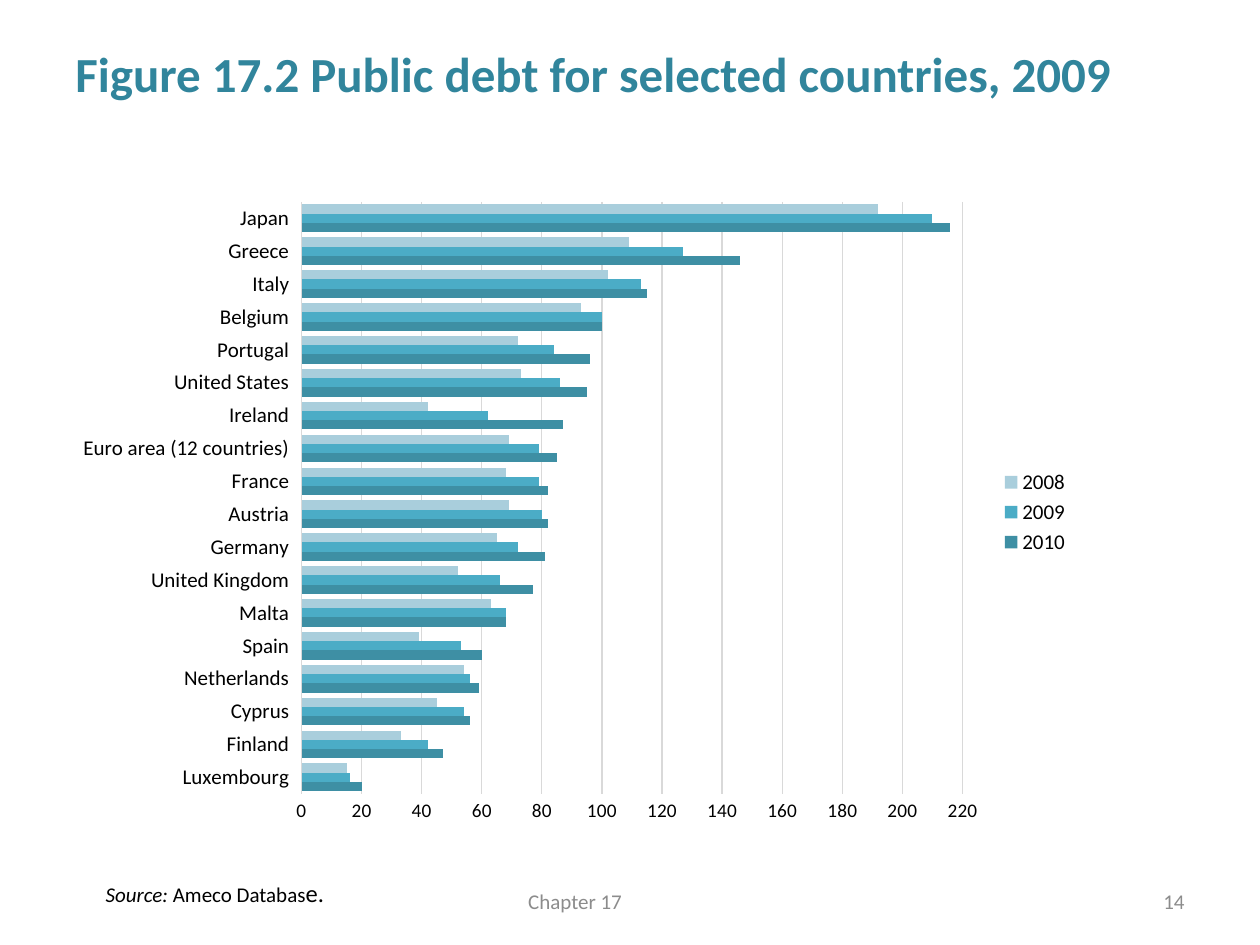
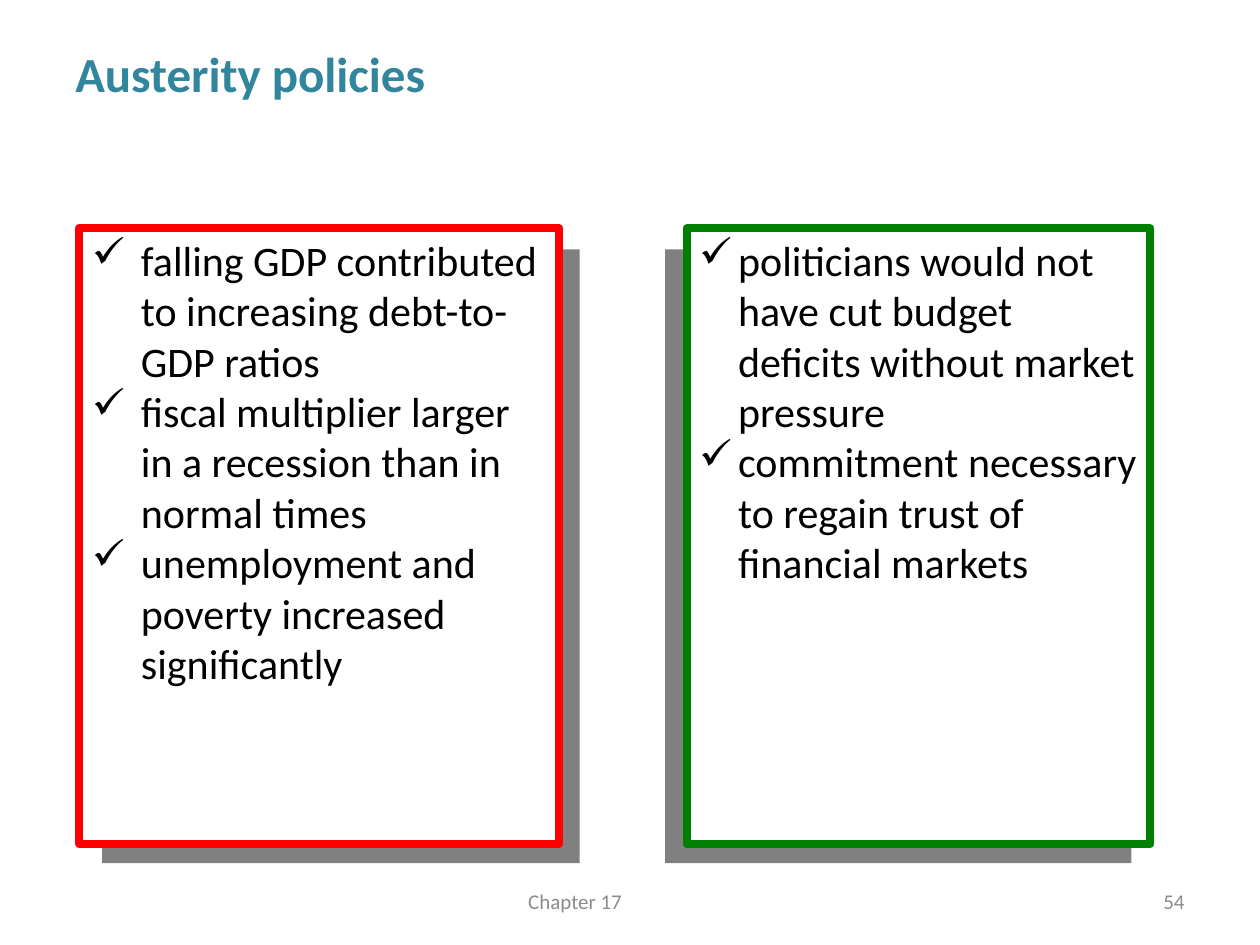
from lxml import etree
from pptx import Presentation
from pptx.chart.data import CategoryChartData
from pptx.dml.color import RGBColor
from pptx.enum.chart import XL_CHART_TYPE, XL_LEGEND_POSITION, XL_TICK_LABEL_POSITION, XL_TICK_MARK
from pptx.enum.shapes import MSO_SHAPE
from pptx.enum.text import MSO_ANCHOR, PP_ALIGN
from pptx.oxml.ns import qn
from pptx.util import Pt

PX = 9144
FONT = "Calibri"
TEAL = RGBColor(0x31, 0x85, 0x9C)
BLACK = RGBColor(0, 0, 0)
WHITE = RGBColor(0xFF, 0xFF, 0xFF)
FOOTER_GRAY = RGBColor(0x8C, 0x8C, 0x8C)
BACKING_GRAY = RGBColor(0x80, 0x80, 0x80)
GRID_GRAY = RGBColor(0xD9, 0xD9, 0xD9)
RED = RGBColor(0xFF, 0, 0)
GREEN = RGBColor(0, 0x80, 0)
YEAR_COLORS = [
    RGBColor(0x3E, 0x8F, 0xA4),
    RGBColor(0x4B, 0xAC, 0xC6),
    RGBColor(0xA9, 0xCE, 0xDC),
]
LEFT, CENTER, RIGHT = PP_ALIGN.LEFT, PP_ALIGN.CENTER, PP_ALIGN.RIGHT
TOP, MIDDLE = MSO_ANCHOR.TOP, MSO_ANCHOR.MIDDLE
RECTANGLE = MSO_SHAPE.RECTANGLE
BARS = XL_CHART_TYPE.BAR_CLUSTERED
LEGEND_RIGHT = XL_LEGEND_POSITION.RIGHT
LABELS_LOW = XL_TICK_LABEL_POSITION.LOW
NO_TICKS = XL_TICK_MARK.NONE

YEARS = ["2010", "2009", "2008"]
PUBLIC_DEBT = [
    ("Luxembourg", 20, 16, 15),
    ("Finland", 47, 42, 33),
    ("Cyprus", 56, 54, 45),
    ("Netherlands", 59, 56, 54),
    ("Spain", 60, 53, 39),
    ("Malta", 68, 68, 63),
    ("United Kingdom", 77, 66, 52),
    ("Germany", 81, 72, 65),
    ("Austria", 82, 80, 69),
    ("France", 82, 79, 68),
    ("Euro area (12 countries)", 85, 79, 69),
    ("Ireland", 87, 62, 42),
    ("United States", 95, 86, 73),
    ("Portugal", 96, 84, 72),
    ("Belgium", 100, 100, 93),
    ("Italy", 115, 113, 102),
    ("Greece", 146, 127, 109),
    ("Japan", 216, 210, 192),
]
COSTS = [
    "falling GDP contributed to increasing debt-to-GDP ratios",
    "fiscal multiplier larger in a recession than in normal times",
    "unemployment and poverty increased significantly",
]
BENEFITS = [
    "politicians would not have cut budget deficits without market pressure",
    "commitment necessary to regain trust of financial markets",
]


class Deck:
    def __init__(self):
        self.presentation = Presentation()
        self.presentation.slide_width = 1000 * PX
        self.presentation.slide_height = 750 * PX
        self.slide = None

    def new_slide(self, title, number):
        self.slide = self.presentation.slides.add_slide(self.presentation.slide_layouts[6])
        self.text((50, 30, 900, 93), [(title, 28, False)], TEAL, bold=True)
        self.text((215, 695, 483, 40), [("Chapter 17", 12, False)], FOOTER_GRAY, CENTER, MIDDLE)
        self.text((717, 695, 233, 40), [(number, 12, False)], FOOTER_GRAY, RIGHT, MIDDLE)

    def box(self, place):
        return [length * PX for length in place]

    def style(self, font, size, color, bold=False, italic=False):
        font.name = FONT
        font.size = Pt(size)
        font.color.rgb = color
        font.bold = bold
        font.italic = italic

    def text(self, place, pieces, color, align=LEFT, anchor=TOP, bold=False, wrap=True):
        frame = self.slide.shapes.add_textbox(*self.box(place)).text_frame
        frame.word_wrap = wrap
        frame.vertical_anchor = anchor
        paragraph = frame.paragraphs[0]
        paragraph.alignment = align
        for words, size, italic in pieces:
            run = paragraph.add_run()
            run.text = words
            self.style(run.font, size, color, bold, italic)

    def rectangle(self, place, fill, border=None):
        shape = self.slide.shapes.add_shape(RECTANGLE, *self.box(place))
        shape.shadow.inherit = False
        shape.fill.solid()
        shape.fill.fore_color.rgb = fill
        if border is None:
            shape.line.fill.background()
        else:
            shape.line.color.rgb = border
            shape.line.width = Pt(4.5)
        return shape

    def checklist(self, place, border, points, indent):
        frame = self.rectangle(place, WHITE, border).text_frame
        frame.word_wrap = True
        frame.vertical_anchor = TOP
        frame.text = "\n".join(points)
        for paragraph in frame.paragraphs:
            paragraph.alignment = LEFT
            self.style(paragraph.runs[0].font, 24, BLACK)
            properties = paragraph._p.get_or_add_pPr()
            properties.set("marL", str(indent * PX))
            properties.set("indent", str(-indent * PX))
            etree.SubElement(properties, qn("a:buChar")).set("char", "✓")

    def bar_chart(self, place, names, rows, colors):
        data = CategoryChartData()
        data.categories = [row[0] for row in rows]
        for column, name in enumerate(names, 1):
            data.add_series(name, [row[column] for row in rows])
        chart = self.slide.shapes.add_chart(BARS, *self.box(place), data).chart
        self.style(chart.font, 10, BLACK)
        chart.has_title = False
        chart.has_legend = True
        chart.legend.position = LEGEND_RIGHT
        chart.legend.include_in_layout = False
        self.style(chart.legend.font, 12, BLACK)

        plot = chart.plots[0]
        plot.gap_width = 57
        plot.overlap = 0
        plot.vary_by_categories = False
        for series, color in zip(plot.series, colors):
            series.format.fill.solid()
            series.format.fill.fore_color.rgb = color
            series.invert_if_negative = False

        countries, debt = chart.category_axis, chart.value_axis
        for axis, size in ((countries, 12), (debt, 11)):
            self.style(axis.tick_labels.font, size, BLACK)
            axis.major_tick_mark = NO_TICKS
            axis.minor_tick_mark = NO_TICKS
        countries.tick_label_position = LABELS_LOW
        debt.minimum_scale, debt.maximum_scale, debt.major_unit = 0, 220, 20
        debt.has_major_gridlines = True
        debt.format.line.fill.background()
        for line in (countries.format.line, debt.major_gridlines.format.line):
            line.color.rgb = GRID_GRAY
            line.width = Pt(0.75)


def main():
    deck = Deck()

    deck.new_slide("Figure 17.2 Public debt for selected countries, 2009", "14")
    deck.bar_chart((50, 150, 809, 513), YEARS, PUBLIC_DEBT, YEAR_COLORS)
    source = [("Source: ", 12, True), ("Ameco Databas", 12, False), ("e.", 14, False)]
    deck.text((74, 692, 197, 34), source, BLACK, wrap=False)

    deck.new_slide("Austerity policies", "54")
    for left, width in ((528, 370), (81, 379)):
        deck.rectangle((left, 198, width, 487), BACKING_GRAY)
    deck.checklist((545, 181, 368, 489), GREEN, BENEFITS, 31)
    deck.checklist((63, 181, 381, 489), RED, COSTS, 39)

    deck.presentation.save("out.pptx")


if __name__ == "__main__":
    main()
